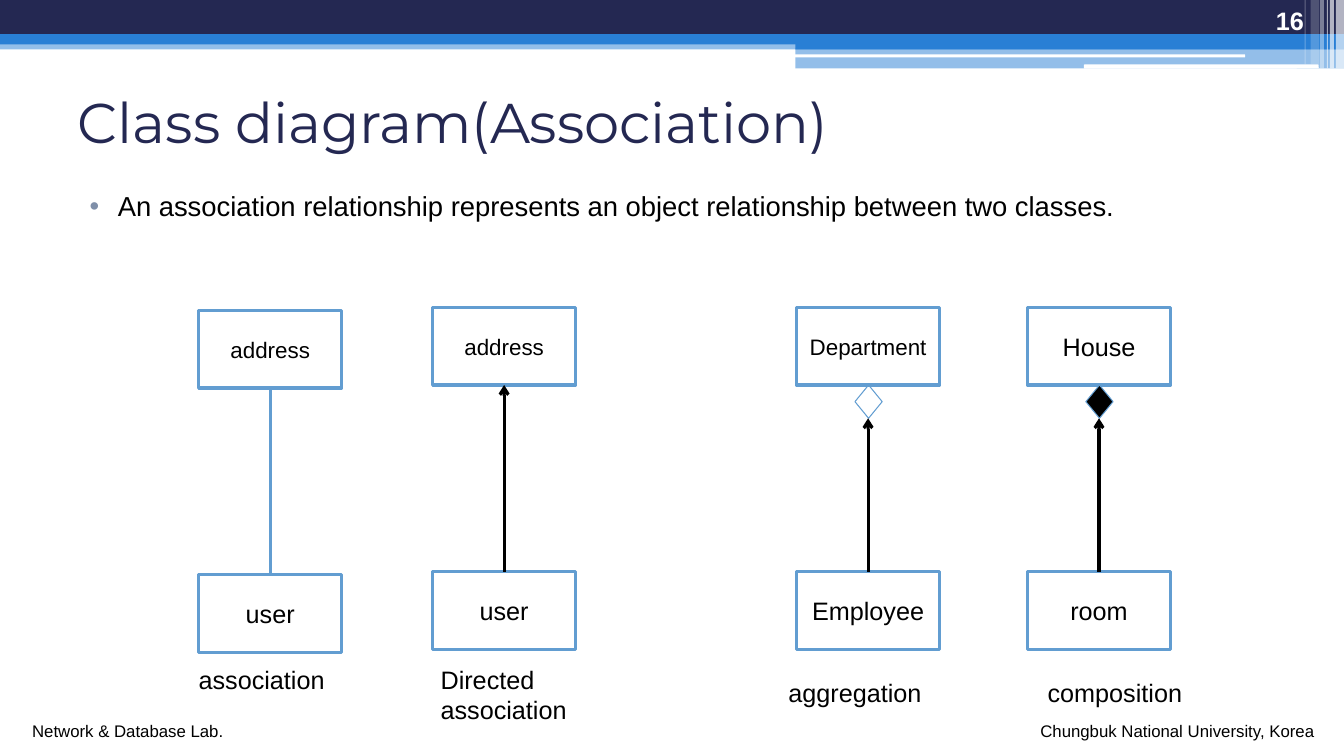
"""Build the slide on class diagram associations."""
from lxml import etree
from pptx import Presentation
from pptx.dml.color import RGBColor
from pptx.enum.shapes import MSO_CONNECTOR, MSO_SHAPE as SHAPE
from pptx.enum.text import MSO_ANCHOR as ANCHOR, PP_ALIGN as ALIGN
from pptx.oxml.ns import qn
from pptx.util import Pt

PX = 9144
NAVY = RGBColor(0x24, 0x28, 0x52)
BLUE = RGBColor(0x29, 0x7F, 0xD5)
OUTLINE = RGBColor(0x62, 0x9D, 0xD1)
BULLET = RGBColor(0x7F, 0x8F, 0xA9)
BLACK = RGBColor(0, 0, 0)
WHITE = RGBColor(255, 255, 255)

prs = Presentation()
prs.slide_width, prs.slide_height = 1333 * PX, 750 * PX
s = prs.slides.add_slide(prs.slide_layouts[6])


def add_shape(kind, box, fill=None, alpha=100, line=None, width=2.25):
    sp = s.shapes.add_shape(kind, *[v * PX for v in box])
    sp.shadow.inherit = False
    if fill is None:
        sp.fill.background()
    else:
        sp.fill.solid()
        sp.fill.fore_color.rgb = fill
        if alpha < 100:
            clr = sp.fill._xPr.find(".//" + qn("a:srgbClr"))
            etree.SubElement(clr, qn("a:alpha"), val=str(alpha * 1000))
    if line is None:
        sp.line.fill.background()
    else:
        sp.line.color.rgb = line
        sp.line.width = Pt(width)
    return sp


def add_text(box, text, size, color=BLACK, font="Arial", bold=False, align=ALIGN.LEFT,
             anchor=ANCHOR.TOP, wrap=True, inset=True, sp=None):
    sp = sp or s.shapes.add_textbox(*[v * PX for v in box])
    tf = sp.text_frame
    tf.word_wrap = wrap
    tf.vertical_anchor = anchor
    if not inset:
        tf.margin_left = tf.margin_right = tf.margin_top = tf.margin_bottom = 0
    for i, line in enumerate(text.split("\n")):
        p = tf.add_paragraph() if i else tf.paragraphs[0]
        p.alignment = align
        r = p.add_run()
        r.text = line
        r.font.name, r.font.size, r.font.bold = font, Pt(size), bold
        r.font.color.rgb = color
    return tf


for kind, box, fill, alpha in [
    (SHAPE.RECTANGLE, (0, 40, 1333, 9), BLUE, 50),
    (SHAPE.RECTANGLE, (0, 0, 1333, 34), NAVY, 100),
    (SHAPE.RECTANGLE, (0, 34, 1333, 10), BLUE, 100),
    (SHAPE.RECTANGLE, (789, 39, 544, 10), BLUE, 100),
    (SHAPE.RECTANGLE, (789, 48, 544, 20), BLUE, 50),
    (SHAPE.ROUNDED_RECTANGLE, (788, 54, 447, 3), WHITE, 100),
    (SHAPE.ROUNDED_RECTANGLE, (1075, 64, 233, 4), WHITE, 100),
]:
    add_shape(kind, box, fill, alpha)

for x, w, h, alpha in [(1325, 8, 68, 65), (1319, 4, 68, 65), (1316, 1, 68, 60),
                       (1309, 4, 68, 40), (1300, 8, 64, 20), (1294, 1, 64, 30)]:
    add_shape(SHAPE.RECTANGLE, (x, 0, w, h), WHITE, alpha)

add_text((22, 710, 211, 30), "Network & Database Lab.", 12, wrap=False)
add_text((1022, 710, 294, 30), "Chungbuk National University, Korea", 12, wrap=False)
add_text((1192, 0, 111, 40), "16", 18, WHITE, bold=True, align=ALIGN.RIGHT,
         anchor=ANCHOR.BOTTOM)
add_text((67, 62, 1200, 117), "Class diagram(Association)", 40, NAVY, "Montserrat",
         anchor=ANCHOR.MIDDLE)

tf = add_text((67, 183, 1134, 44), "An association relationship represents an object "
              "relationship between two classes.", 19.6)
p = tf.paragraphs[0]
p.space_before = Pt(3)
pPr = p._p.get_or_add_pPr()
pPr.set("marL", str(40 * PX))
pPr.set("indent", str(-28 * PX))
clr = etree.SubElement(pPr, qn("a:buClr"))
etree.SubElement(clr, qn("a:srgbClr"), val=str(BULLET))
etree.SubElement(pPr, qn("a:buFont"), typeface="Arial")
etree.SubElement(pPr, qn("a:buChar"), char="•")

BOX_W, BOX_H, BOX_GAP = 142, 77, 262
DIAMOND_W, DIAMOND_H = 27, 33

for x, y, top, top_size, bottom, directed, diamond, diamond_fill, label, label_box in [
    (197, 308, "address", 16, "user", False, False, None,
     "association", (197, 659, 126, 30)),
    (429, 305, "address", 16, "user", True, False, None,
     "Directed\nassociation", (437, 659, 126, 61)),
    (790, 305, "Department", 16, "Employee", True, True, None,
     "aggregation", (782, 672, 133, 30)),
    (1019, 305, "House", 18, "room", True, True, BLACK,
     "composition", (1039, 672, 135, 30)),
]:
    for name, size, box_y in [(top, top_size, y), (bottom, 18, y + BOX_GAP)]:
        box = (x, box_y, BOX_W, BOX_H)
        sp = add_shape(SHAPE.RECTANGLE, box, line=OUTLINE)
        add_text(box, name, size, align=ALIGN.CENTER, anchor=ANCHOR.MIDDLE, sp=sp)

    mid, end = x + BOX_W // 2, y + BOX_H
    if diamond:
        add_shape(SHAPE.FLOWCHART_DECISION, (mid - DIAMOND_W // 2, end, DIAMOND_W, DIAMOND_H),
                  diamond_fill, line=OUTLINE, width=0.75)
        end += DIAMOND_H

    cn = s.shapes.add_connector(MSO_CONNECTOR.STRAIGHT, mid * PX, (y + BOX_GAP) * PX,
                                mid * PX, end * PX)
    cn.line.width = Pt(2.25)
    cn.line.color.rgb = BLACK if directed else OUTLINE
    if directed:
        etree.SubElement(cn.line._get_or_add_ln(), qn("a:tailEnd"), type="arrow")
    etree.SubElement(cn._element.spPr, qn("a:effectLst"))

    add_text(label_box, label, 18, wrap=False, inset=False)

prs.save("out.pptx")
